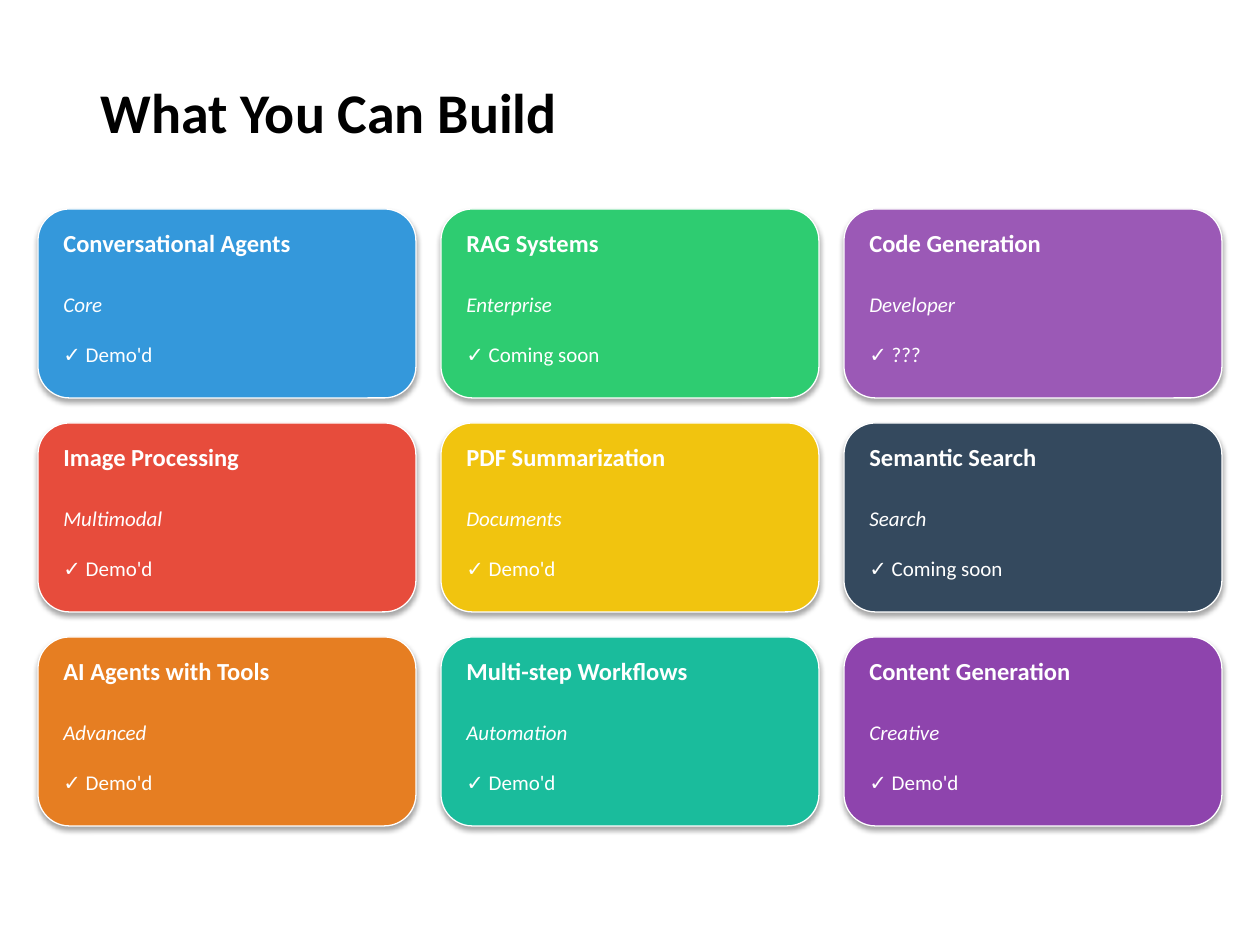
from lxml import etree
from pptx import Presentation, util as u
from pptx.dml.color import RGBColor
from pptx.enum import shapes, text
from pptx.oxml import ns

PX = 914400 / 126
WHITE = "FFFFFF"
TITLE = "What You Can Build"
CARDS = [
    ("Conversational Agents", "Core", "✓ Demo'd", "3498DB"),
    ("RAG Systems", "Enterprise", "✓ Coming soon", "2ECC71"),
    ("Code Generation", "Developer", "✓ ???", "9B59B6"),
    ("Image Processing", "Multimodal", "✓ Demo'd", "E74C3C"),
    ("PDF Summarization", "Documents", "✓ Demo'd", "F1C40F"),
    ("Semantic Search", "Search", "✓ Coming soon", "34495E"),
    ("AI Agents with Tools", "Advanced", "✓ Demo'd", "E67E22"),
    ("Multi-step Workflows", "Automation", "✓ Demo'd", "1ABC9C"),
    ("Content Generation", "Creative", "✓ Demo'd", "8E44AD"),
]
# Offset from the card's top, height, point size, bold, italic
LINES = [
    (13, 50, 14, True, False),
    (63 + 13, 38, 12, False, True),
    (113 + 13, 38, 12, False, False),
]
COLUMNS, LEFT, TOP = 3, 38, 209
CARD_W, CARD_H, GAP, PAD = 378, 189, 25, 13


def px(*lengths):
    return [u.Emu(round(n * PX)) for n in lengths]


def color(value):
    return RGBColor.from_string(value)


def add_text(s, box, words, size, fill, bold=False, italic=False):
    tf = s.shapes.add_textbox(*px(*box)).text_frame
    tf.word_wrap = True
    tf.auto_size = text.MSO_AUTO_SIZE.SHAPE_TO_FIT_TEXT
    p = tf.paragraphs[0]
    p.text = words
    font = p.font
    font.name, font.size = "Calibri", u.Pt(size)
    font.bold, font.italic = bold, italic
    font.color.rgb = color(fill)


def add_shadow(sp):
    """Give the shape a soft black shadow straight below it."""
    sp.shadow.inherit = False
    effects = sp._element.spPr.find(ns.qn("a:effectLst"))
    shadow = etree.SubElement(effects, ns.qn("a:outerShdw"), blurRad=str(u.Pt(3.1)),
                              dist=str(u.Pt(1.8)), dir="5400000", rotWithShape="0")
    black = etree.SubElement(shadow, ns.qn("a:srgbClr"), val="000000")
    etree.SubElement(black, ns.qn("a:alpha"), val="35000")


def add_card(s, x, y, words, fill):
    sp = s.shapes.add_shape(shapes.MSO_SHAPE.ROUNDED_RECTANGLE, *px(x, y, CARD_W, CARD_H))
    sp.fill.solid()
    sp.fill.fore_color.rgb = color(fill)
    sp.line.color.rgb = color(WHITE)
    sp.line.width = u.Pt(0.75)
    add_shadow(sp)
    for line, (dy, height, size, bold, italic) in zip(words, LINES):
        add_text(s, (x + PAD, y + dy, CARD_W - 2 * PAD, height), line, size, WHITE, bold, italic)


def main():
    prs = Presentation()
    prs.slide_width, prs.slide_height = px(1260, 945)
    s = prs.slides.add_slide(prs.slide_layouts[6])
    add_text(s, (88, 71, 1134, 81), TITLE, 32, "000000", bold=True)
    for i, (*words, fill) in enumerate(CARDS):
        row, column = divmod(i, COLUMNS)
        add_card(s, LEFT + column * (CARD_W + GAP), TOP + row * (CARD_H + GAP), words, fill)
    prs.save("out.pptx")


if __name__ == "__main__":
    main()
